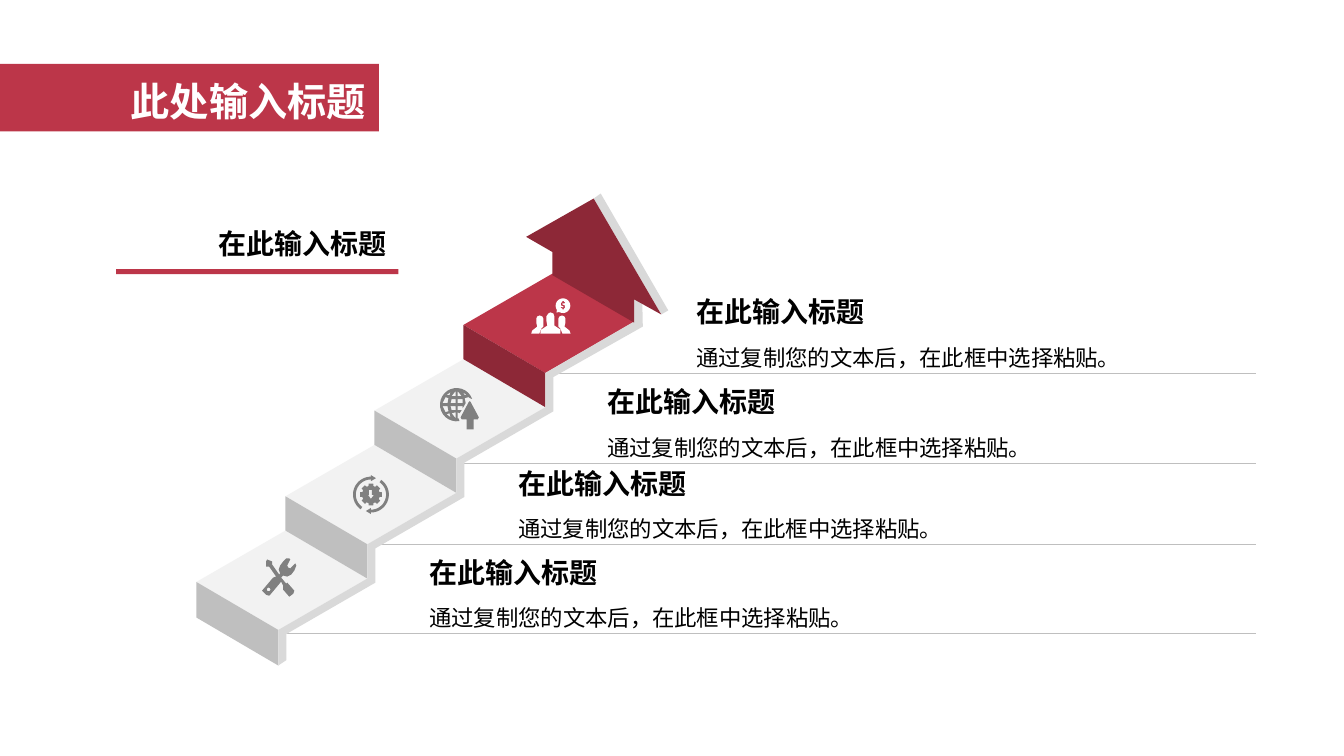
from math import cos, radians, sin

from lxml.etree import SubElement
from pptx import Presentation
from pptx.dml.color import RGBColor
from pptx.enum.shapes import MSO_CONNECTOR, MSO_SHAPE
from pptx.enum.text import MSO_ANCHOR, PP_ALIGN
from pptx.oxml.ns import qn
from pptx.util import Pt

COLORS = {
    "red": "BC3649", "dark red": "8D2837", "white": "FFFFFF", "black": "000000",
    "tread": "F2F2F2", "riser": "BFBFBF", "side": "D9D9D9", "icon": "808080",
}
CJK_FONT = "Noto Sans CJK SC"
HUNDREDTH_INCH = 0.72

presentation = Presentation()
presentation.slide_width, presentation.slide_height = Pt(960), Pt(540)
slide = presentation.slides.add_slide(presentation.slide_layouts[5])
shapes = slide.shapes


def draw(contours, color, unit=1):
    builder = None
    for contour in contours:
        points = [(x * unit * 100, y * unit * 100) for x, y in contour]
        if builder is None:
            builder = shapes.build_freeform(*points[0], scale=Pt(1) / 100)
        else:
            builder.move_to(*points[0])
        builder.add_line_segments(points[1:], close=True)
    shape = builder.convert_to_shape()
    shape.shadow.inherit = False
    shape.fill.solid()
    shape.fill.fore_color.rgb = RGBColor.from_string(COLORS[color])
    shape.line.fill.background()


def arc(center_x, center_y, radius, start, end, count=20):
    angles = [radians(start + (end - start) * i / count) for i in range(count + 1)]
    return [(center_x + radius * cos(a), center_y + radius * sin(a)) for a in angles]


title = shapes.title
title.left, title.top, title.width, title.height = Pt(0), Pt(45.6), Pt(270.7), Pt(48.2)
title.fill.solid()
title.fill.fore_color.rgb = RGBColor.from_string(COLORS["red"])
title.text_frame.margin_right = Pt(9.5)
title.text_frame.margin_top, title.text_frame.margin_bottom = Pt(4), Pt(0)

heading, description = "在此输入标题", "通过复制您的文本后，在此框中选择粘贴。"
left, right, middle, bottom, top = (
    PP_ALIGN.LEFT, PP_ALIGN.RIGHT, MSO_ANCHOR.MIDDLE, MSO_ANCHOR.BOTTOM, MSO_ANCHOR.TOP)
texts = [(title, "此处输入标题", 28, True, "white", right, middle, 1, CJK_FONT)]

for i, line_y in enumerate([452.4, 388.8, 330.7, 266.4]):
    line_x = 204.5 + 63.6 * i
    line = shapes.add_connector(
        MSO_CONNECTOR.STRAIGHT, Pt(line_x), Pt(line_y), Pt(897), Pt(line_y))
    line.line.color.rgb = RGBColor.from_string(COLORS["riser"])
    line.line.width = Pt(0.25)
    SubElement(line._element.spPr, qn("a:effectLst"))
    body_box = shapes.add_textbox(Pt(line_x + 95), Pt(line_y - 28), Pt(305.3), Pt(27.4))
    head_box = shapes.add_textbox(Pt(line_x + 95), Pt(line_y - 58.2), Pt(305.3), Pt(30.2))
    texts += [
        (body_box, description, 16, False, "black", left, top, 1.2, "Arial"),
        (head_box, heading, 20, True, "black", left, bottom, 0.9, "Arial"),
    ]

caption_box = shapes.add_textbox(Pt(75.6), Pt(122.4), Pt(208), Pt(67))
texts.append((caption_box, heading, 20, True, "black", right, bottom, 1, "Arial"))

for box, text, size, bold, color, align, anchor, spacing, font_name in texts:
    frame = box.text_frame
    frame.word_wrap = box is not title
    frame.vertical_anchor = anchor
    paragraph = frame.paragraphs[0]
    paragraph.text = text
    paragraph.alignment = align
    paragraph.line_spacing = spacing
    font = paragraph.font
    font.name, font.size, font.bold = font_name, Pt(size), bold
    font.color.rgb = RGBColor.from_string(COLORS[color])
    SubElement(font._element, qn("a:ea"), typeface=CJK_FONT)

underline = shapes.add_shape(MSO_SHAPE.RECTANGLE, Pt(83), Pt(192.3), Pt(201.6), Pt(3.6))
underline.shadow.inherit = False
underline.fill.solid()
underline.fill.fore_color.rgb = RGBColor.from_string(COLORS["red"])
underline.line.fill.background()

inner_edge, outer_edge = [], []
for i in range(4):
    x, y = 198.8 + 63.6 * i, 450 - 61.2 * i
    drop = 24.5 if i else 25.4
    last = i == 3
    draw([[(x, y), (x - 58.5, y - 34.3), (x + 5.1, y - 71), (x + 63.6, y - 36.7)]],
         "red" if last else "tread")
    draw([[(x, y + drop), (x - 58.5, y + drop - 34.3), (x - 58.5, y - 34.3), (x, y)]],
         "dark red" if last else "riser")
    inner_edge += [(x, y + drop), (x, y)]
    outer_edge += [(x + 5.8, y + (drop + 2.9 if i else 21.6)), (x + 5.8, y + 2.9)]
side_end = [(453, 229.7), (453, 213.1), (458.7, 209.5), (459.2, 233.3)]
draw([inner_edge + side_end + outer_edge[::-1]], "side")

draw([[(596, 192), (589, 197), (656, 312), (663, 308)]], "side", HUNDREDTH_INCH)
draw([[(656, 312), (589, 197), (522, 235), (548, 250), (548, 273), (629, 320),
       (629, 297)]], "dark red", HUNDREDTH_INCH)

middle_person = [
    (546, 310), (549, 311), (550, 314), (550, 323), (556, 327), (556, 331), (536, 331),
    (537, 327), (543, 323), (542, 318), (542, 314), (544, 311)]
right_person = [
    (557.5, 313), (560, 314), (561, 316), (561, 320), (560, 324), (565, 328), (566, 331),
    (558, 331), (556, 326), (554, 324), (554, 316), (555, 314)]
left_person = [(1093 - x, y) for x, y in right_person]
bubble = arc(558.5, 303.3, 7.3, 145, 480) + [(552, 310)]
dollar = [
    (558, 298.5), (559.5, 298.5), (559.5, 299.5), (561, 300), (560, 301), (558, 301),
    (558, 302), (560.5, 303), (560.5, 305.5), (559.5, 306), (559.5, 307), (558, 307),
    (558, 306), (556, 305.5), (556.5, 304.5), (559, 305), (559, 304), (556.5, 303),
    (556.5, 300.5), (558, 299.5)]
draw([left_person, middle_person, right_person, bubble, dollar], "white", HUNDREDTH_INCH)

tools = [
    (294, 561), (293, 559), (288, 564), (286, 563), (285, 561), (288, 555), (287, 554),
    (284, 554), (281, 557), (278, 561), (276.5, 565), (278, 569), (277, 570), (270, 560),
    (270, 557), (265, 555), (264, 557), (264, 562), (267, 562), (274, 572), (271, 573),
    (260, 586), (264, 590), (267, 591), (269, 589), (279, 577), (281, 581), (281, 585),
    (287, 592), (291, 589), (292, 586), (285, 578), (284, 579), (279, 573), (281, 571),
    (285, 572), (289, 570), (292, 566)]
draw([tools, arc(266.5, 584.8, 1.8, 0, 360)], "icon", HUNDREDTH_INCH)

gear = []
for tooth in range(8):
    for angle, radius in [(-12, 11), (12, 11), (16, 8.8), (29, 8.8)]:
        gear += arc(368, 490.7, radius, 45 * tooth + angle, 0, 1)[:1]
gear_arrow = [(366, 486), (369, 486), (369, 491), (371, 491), (368, 495), (365, 491),
              (366, 491)]
cycle = arc(368, 490.7, 17.8, -55, 90) + arc(368, 490.7, 15, 90, -55)
cycle_head = [(368, 504), (368, 510), (363, 507)]
turned = [[(736 - x, 981.4 - y) for x, y in part] for part in (cycle, cycle_head)]
draw([gear, gear_arrow, cycle, cycle_head] + turned, "icon", HUNDREDTH_INCH)

globe = arc(453, 401.5, 16.5, 80, 340) + [
    (466, 395), (465, 394), (461, 395), (462, 400), (459, 405), (459, 403), (454, 403),
    (454, 407), (458, 407), (456, 410), (454, 409), (454, 415), (455, 415)]
globe_cells = [
    [(446, 410), (443, 411), (447, 414)],
    [(452, 409), (448, 410), (452, 415)],
    [(447, 403), (448, 407), (452, 407), (452, 403)],
    [(439, 403), (442, 409), (445, 408), (444, 403)],
    [(459, 396), (454, 396), (454, 400), (459, 400)],
    [(448, 396), (447, 400), (452, 400), (452, 396)],
    [(442, 394), (439, 400), (444, 400), (445, 395)],
    [(459, 389), (461, 392), (463, 392)],
    [(447, 389), (443, 392), (446, 392)],
    [(454, 388), (454, 393), (458, 393)],
    [(452, 388), (448, 393), (452, 393)]]
upload_arrow = [
    (466, 398), (467, 399), (475, 414), (474, 416), (470, 416), (470, 426), (463, 426),
    (463, 416), (458, 416), (457, 414), (465, 399)]
draw([globe, *globe_cells, upload_arrow], "icon", HUNDREDTH_INCH)

presentation.save("out.pptx")
